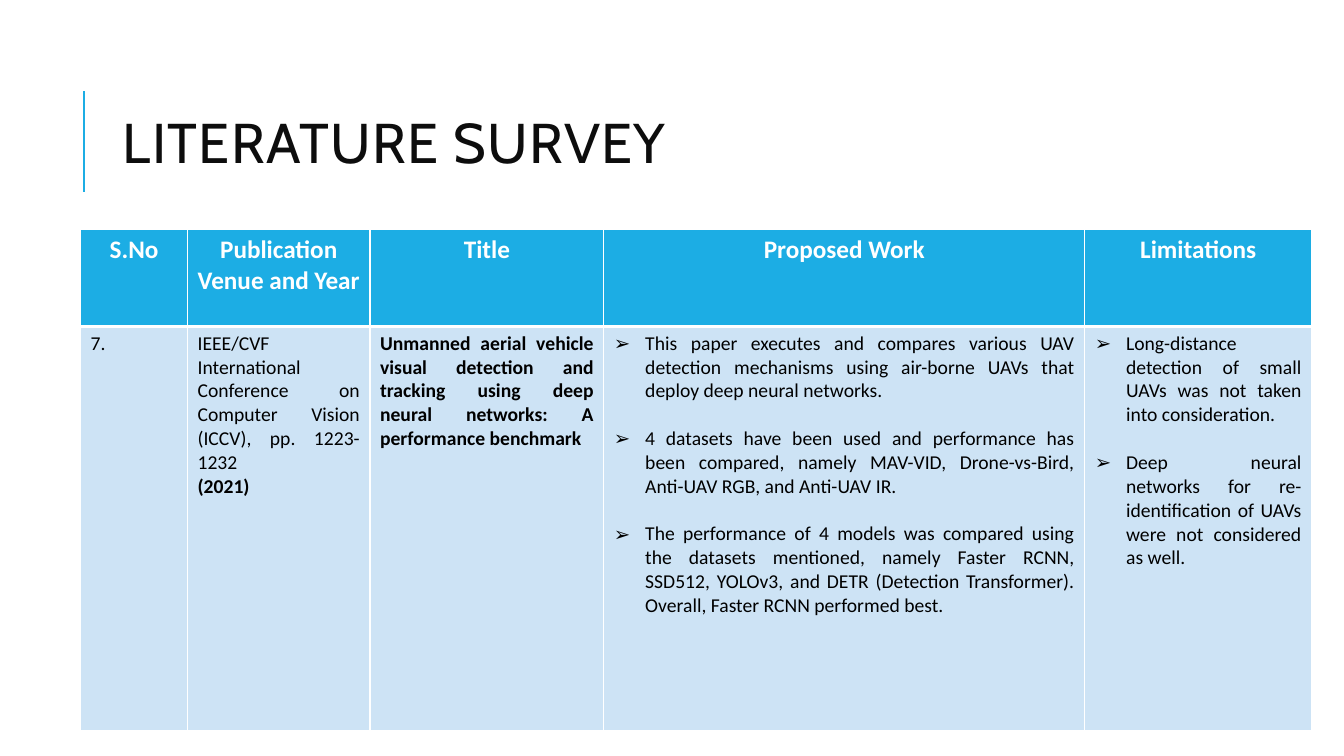
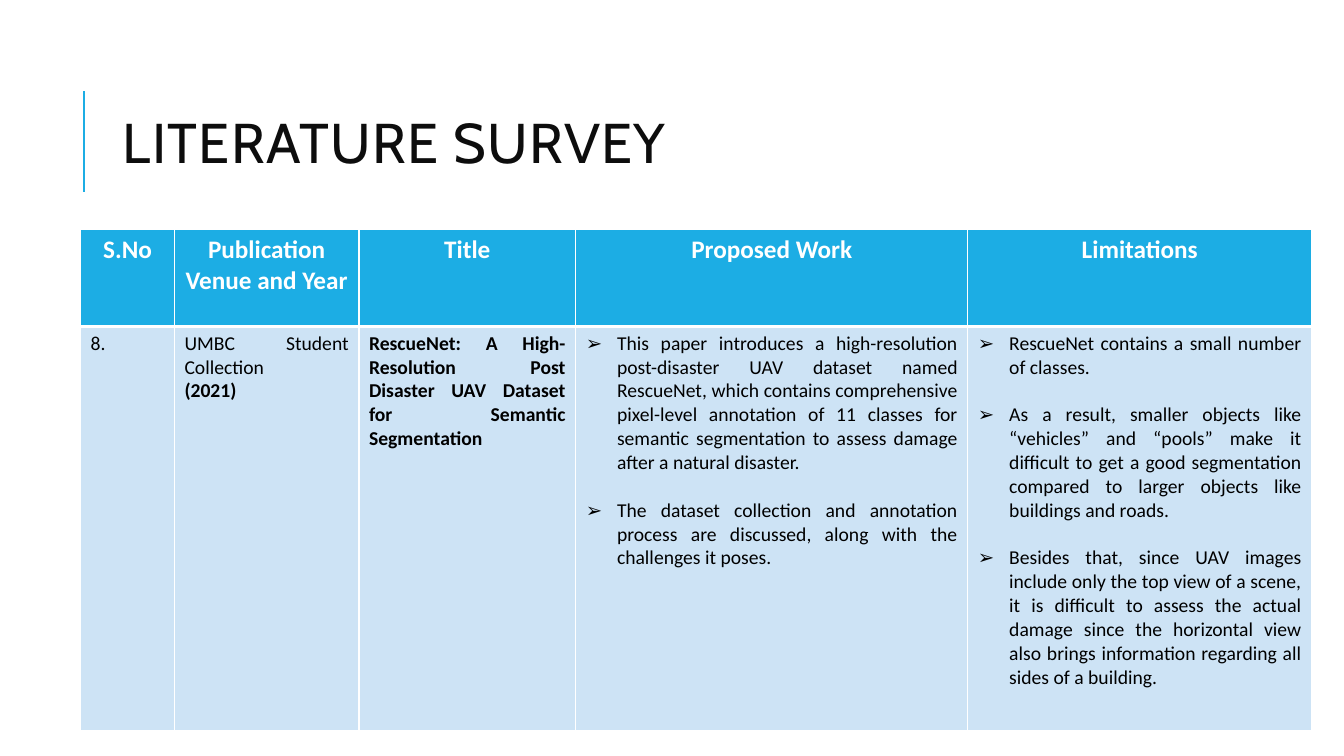
import pptx
import pptx.dml.color
import pptx.enum.shapes
import pptx.enum.text
import pptx.oxml.ns
import pptx.util
from lxml import etree

PX = 9144  # 100 px to the inch
BLUE, PALE, WHITE, BLACK, INK = "1CADE4", "CDE3F5", "FFFFFF", "000000", "0D0D0D"
LEFT, CENTER, JUSTIFY = (
    pptx.enum.text.PP_ALIGN.LEFT,
    pptx.enum.text.PP_ALIGN.CENTER,
    pptx.enum.text.PP_ALIGN.JUSTIFY,
)
TABLE_TOP, TABLE_RIGHT = 228, 1301
ROW_HEIGHTS = [96, 401]
BULLET_INDENT, BULLET_GAP = 31, 17
HEADINGS = ["S.No", "Publication Venue and Year", "Title", "Proposed Work", "Limitations"]

SURVEYS = [
    {
        "widths": [106, 181, 232, 477, 225],
        "number": "7.",
        "venue": "IEEE/CVF International Conference on Computer Vision (ICCV), pp. 1223-1232",
        "year": "(2021)",
        "title": "Unmanned aerial vehicle visual detection and tracking using deep "
                 "neural networks: A performance benchmark",
        "work": [
            "This paper executes and compares various UAV detection mechanisms using "
            "air-borne UAVs that deploy deep neural networks.",
            "4 datasets have been used and performance has been compared, namely MAV-VID, "
            "Drone-vs-Bird, Anti-UAV RGB, and Anti-UAV IR.",
            "The performance of 4 models was compared using the datasets mentioned, namely "
            "Faster RCNN, SSD512, YOLOv3, and DETR (Detection Transformer). Overall, "
            "Faster RCNN performed best.",
        ],
        "limits": [
            "Long-distance detection of small UAVs was not taken into consideration.",
            "Deep neural networks for re-identification of UAVs were not considered as well.",
        ],
    },
    {
        "widths": [93, 183, 215, 389, 341],
        "number": "8.",
        "venue": "UMBC Student Collection",
        "year": "(2021)",
        "title": "RescueNet: A High-Resolution Post Disaster UAV Dataset for "
                 "Semantic Segmentation",
        "work": [
            "This paper introduces a high-resolution post-disaster UAV dataset named "
            "RescueNet, which contains comprehensive pixel-level annotation of 11 classes "
            "for semantic segmentation to assess damage after a natural disaster.",
            "The dataset collection and annotation process are discussed, along with the "
            "challenges it poses.",
        ],
        "limits": [
            "RescueNet contains a small number of classes.",
            "As a result, smaller objects like “vehicles” and “pools” make it difficult to "
            "get a good segmentation compared to larger objects like buildings and roads.",
            "Besides that, since UAV images include only the top view of a scene, it is "
            "difficult to assess the actual damage since the horizontal view also brings "
            "information regarding all sides of a building.",
        ],
    },
]


def rgb(color):
    return pptx.dml.color.RGBColor.from_string(color)


def write(frame, text, size=14, color=BLACK, font="Calibri", bold=False, align=JUSTIFY,
          bullet=None, before=0, line_spacing=None, tracking=None):
    """Add a paragraph to the frame, filling its empty first one if there is one."""
    para = frame.paragraphs[0] if not frame.text else frame.add_paragraph()
    para.alignment = align
    para.space_before = pptx.util.Pt(before)
    if line_spacing:
        para.line_spacing = line_spacing
    span = para.add_run()
    span.text = text
    span.font.size = pptx.util.Pt(size)
    span.font.name = font
    span.font.bold = bold
    span.font.color.rgb = rgb(color)
    if tracking:
        span.font._element.set("spc", str(tracking * 100))
    if bullet:
        properties = para._p.get_or_add_pPr()
        properties.set("marL", str(BULLET_INDENT * PX))
        properties.set("indent", str(-BULLET_INDENT * PX))
        etree.SubElement(properties, pptx.oxml.ns.qn("a:buFont"), typeface="Arial")
        etree.SubElement(properties, pptx.oxml.ns.qn("a:buChar"), char=bullet)


deck = pptx.Presentation()
deck.slide_width, deck.slide_height = 1333 * PX, 750 * PX

for survey in SURVEYS:
    page = deck.slides.add_slide(deck.slide_layouts[6])

    rule = page.shapes.add_connector(
        pptx.enum.shapes.MSO_CONNECTOR.STRAIGHT, 83 * PX, 190 * PX, 83 * PX, 90 * PX)
    rule.line.color.rgb = rgb(BLUE)
    rule.line.width = pptx.util.Pt(1.5)
    etree.SubElement(rule._element.spPr, pptx.oxml.ns.qn("a:effectLst"))

    title = page.shapes.add_textbox(112 * PX, 64 * PX, 1063 * PX, 164 * PX).text_frame
    title.word_wrap = True
    title.vertical_anchor = pptx.enum.text.MSO_ANCHOR.MIDDLE
    write(title, "LITERATURE SURVEY", size=40, color=INK, font="Cabin", align=LEFT,
          line_spacing=0.8, tracking=1)

    width = sum(survey["widths"])
    table = page.shapes.add_table(
        len(ROW_HEIGHTS), len(HEADINGS), (TABLE_RIGHT - width) * PX, TABLE_TOP * PX,
        width * PX, sum(ROW_HEIGHTS) * PX).table
    table.horz_banding = False
    for column, column_width in zip(table.columns, survey["widths"]):
        column.width = column_width * PX
    for row, row_height in zip(table.rows, ROW_HEIGHTS):
        row.height = row_height * PX

    # Borders go in ahead of the fill, as the cell schema requires.
    for row_index, row in enumerate(table.rows):
        heavy_side = ["lnB", "lnT"][row_index]
        for cell in row.cells:
            properties = cell._tc.get_or_add_tcPr()
            for side in ["lnL", "lnR", "lnT", "lnB"]:
                points = 3 if side == heavy_side else 1
                border = etree.SubElement(properties, pptx.oxml.ns.qn("a:" + side),
                                          w=str(pptx.util.Pt(points)))
                paint = etree.SubElement(border, pptx.oxml.ns.qn("a:solidFill"))
                etree.SubElement(paint, pptx.oxml.ns.qn("a:srgbClr"), val=WHITE)
            cell.fill.solid()
            cell.fill.fore_color.rgb = rgb([BLUE, PALE][row_index])

    for cell, heading in zip(table.rows[0].cells, HEADINGS):
        write(cell.text_frame, heading, size=18, color=WHITE, bold=True, align=CENTER)

    number, venue, paper, work, limits = [cell.text_frame for cell in table.rows[1].cells]
    write(number, survey["number"], align=LEFT)
    write(venue, survey["venue"])
    write(venue, survey["year"], bold=True)
    write(paper, survey["title"], bold=True)
    for frame, points in [(work, survey["work"]), (limits, survey["limits"])]:
        for index, point in enumerate(points):
            write(frame, point, bullet="➢", before=BULLET_GAP if index else 0)

deck.save("out.pptx")
